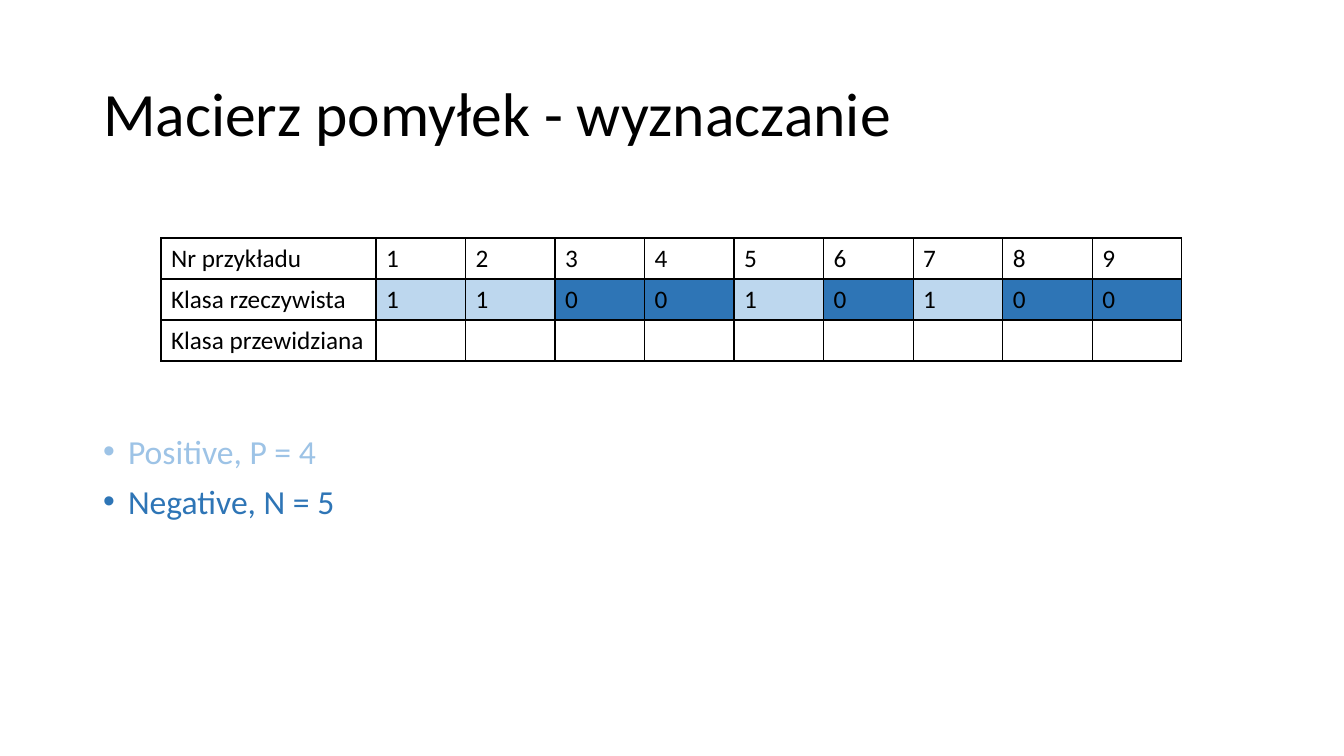
from lxml.etree import SubElement
from pptx import Presentation
from pptx.dml.color import RGBColor
from pptx.enum.text import MSO_ANCHOR, MSO_AUTO_SIZE, PP_ALIGN
from pptx.oxml.ns import qn
from pptx.util import Emu, Pt

FONT = "Calibri"
COLORS = {
    "text": "000000",
    "background": "FFFFFF",
    "positive_text": "9DC3E6",
    "positive_fill": "BDD7EE",
    "negative": "2E75B6",
}
CLASS_FILLS = {"1": "positive_fill", "0": "negative"}
TABLE_ROWS = [
    ["Nr przykładu", *"123456789"],
    ["Klasa rzeczywista", *"110010100"],
    ["Klasa przewidziana", *[""] * 9],
]
CLASS_COUNTS = [("Positive, P = 4", "positive_text"), ("Negative, N = 5", "negative")]


def px(length):
    return Emu(round(length * 914400 / 100.8))


def place(shape, left, top, width, height):
    shape.left, shape.top = px(left), px(top)
    shape.width, shape.height = px(width), px(height)


def add_run(paragraph, text, size, color):
    run = paragraph.add_run()
    run.text = text
    run.font.name = FONT
    run.font.size = Pt(size)
    run.font.color.rgb = RGBColor.from_string(COLORS[color])


def fill_title(title, text):
    place(title, 93, 44, 1159, 146)
    frame = title.text_frame
    frame.auto_size = MSO_AUTO_SIZE.NONE
    frame.vertical_anchor = MSO_ANCHOR.MIDDLE
    paragraph = frame.paragraphs[0]
    paragraph.alignment = PP_ALIGN.LEFT
    paragraph.line_spacing = 0.9
    add_run(paragraph, text, 44, "text")


def fill_list(body, items):
    place(body, 93, 202, 1159, 480)
    frame = body.text_frame
    frame.auto_size = MSO_AUTO_SIZE.NONE
    # The list starts below the table
    frame.margin_top = px(233)
    for index, (text, color) in enumerate(items):
        paragraph = frame.add_paragraph() if index else frame.paragraphs[0]
        paragraph.line_spacing = 0.9
        paragraph.space_before = Pt(10 if index else 0)
        properties = paragraph._p.get_or_add_pPr()
        properties.set("marL", str(px(25)))
        properties.set("indent", str(-px(25)))
        SubElement(properties, qn("a:buFont"), typeface="Arial")
        SubElement(properties, qn("a:buChar"), char="•")
        add_run(paragraph, text, 24, color)


def set_borders(cell):
    properties = cell._tc.get_or_add_tcPr()
    for side in ("lnL", "lnR", "lnT", "lnB"):
        line = SubElement(properties, qn(f"a:{side}"), w=str(Pt(1)))
        fill = SubElement(line, qn("a:solidFill"))
        SubElement(fill, qn("a:srgbClr"), val=COLORS["text"])


def fill_cell(cell, text, fill):
    set_borders(cell)
    cell.fill.solid()
    cell.fill.fore_color.rgb = RGBColor.from_string(COLORS[fill])
    if text:
        add_run(cell.text_frame.paragraphs[0], text, 18, "text")


def add_class_table(slide, rows):
    width, label_width, row_height = 1021, 215, 41
    column_count = len(rows[0])
    frame = slide.shapes.add_table(
        len(rows), column_count, px(161), px(238), px(width), px(row_height * len(rows))
    )
    table = frame.table
    table.first_row = False
    table.horz_banding = False
    for index, column in enumerate(table.columns):
        column.width = px((width - label_width) / (column_count - 1) if index else label_width)
    for row_index, values in enumerate(rows):
        table.rows[row_index].height = px(row_height)
        for column_index, value in enumerate(values):
            # Only the actual classes are coloured
            fill = CLASS_FILLS.get(value, "background") if row_index == 1 else "background"
            fill_cell(table.cell(row_index, column_index), value, fill)


def main():
    presentation = Presentation()
    presentation.slide_width, presentation.slide_height = px(1344), px(756)
    slide = presentation.slides.add_slide(presentation.slide_layouts[1])

    # Title and class counts
    fill_title(slide.shapes.title, "Macierz pomyłek - wyznaczanie")
    fill_list(slide.placeholders[1], CLASS_COUNTS)

    # Examples with their classes
    add_class_table(slide, TABLE_ROWS)

    presentation.save("out.pptx")


if __name__ == "__main__":
    main()
